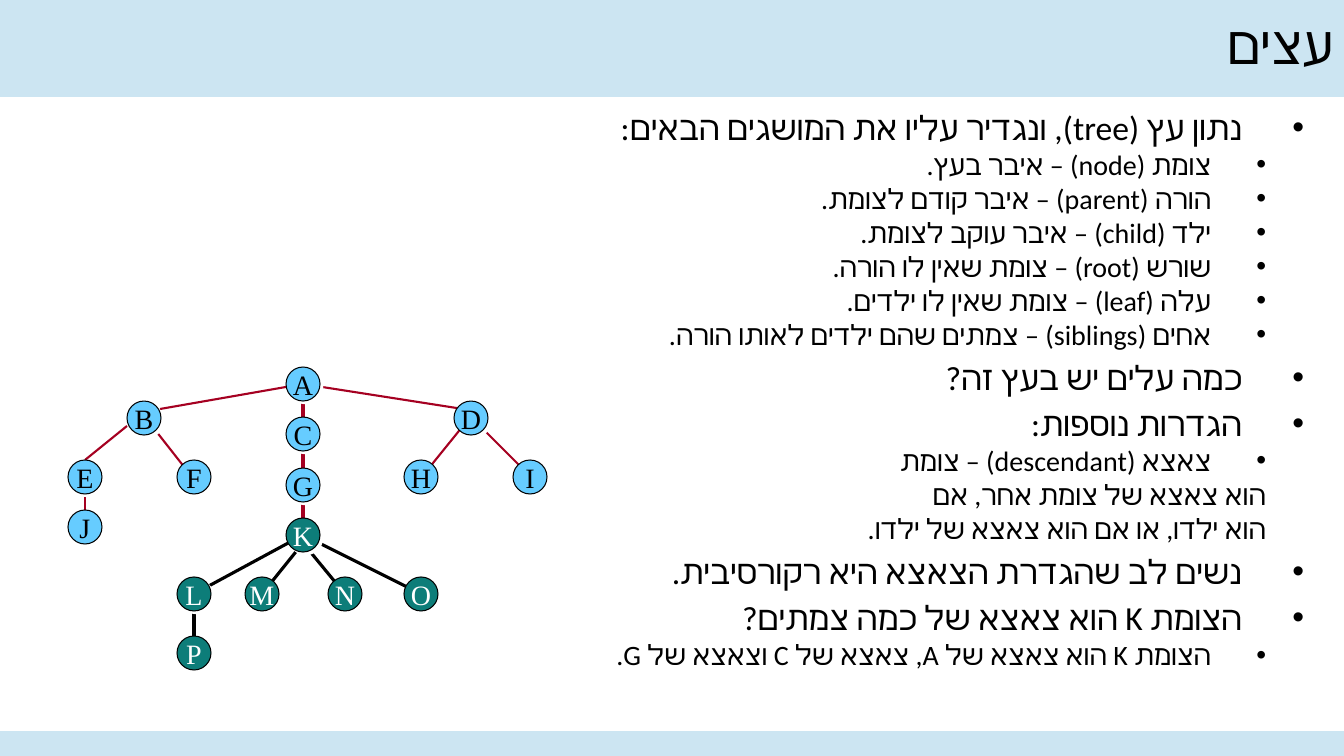
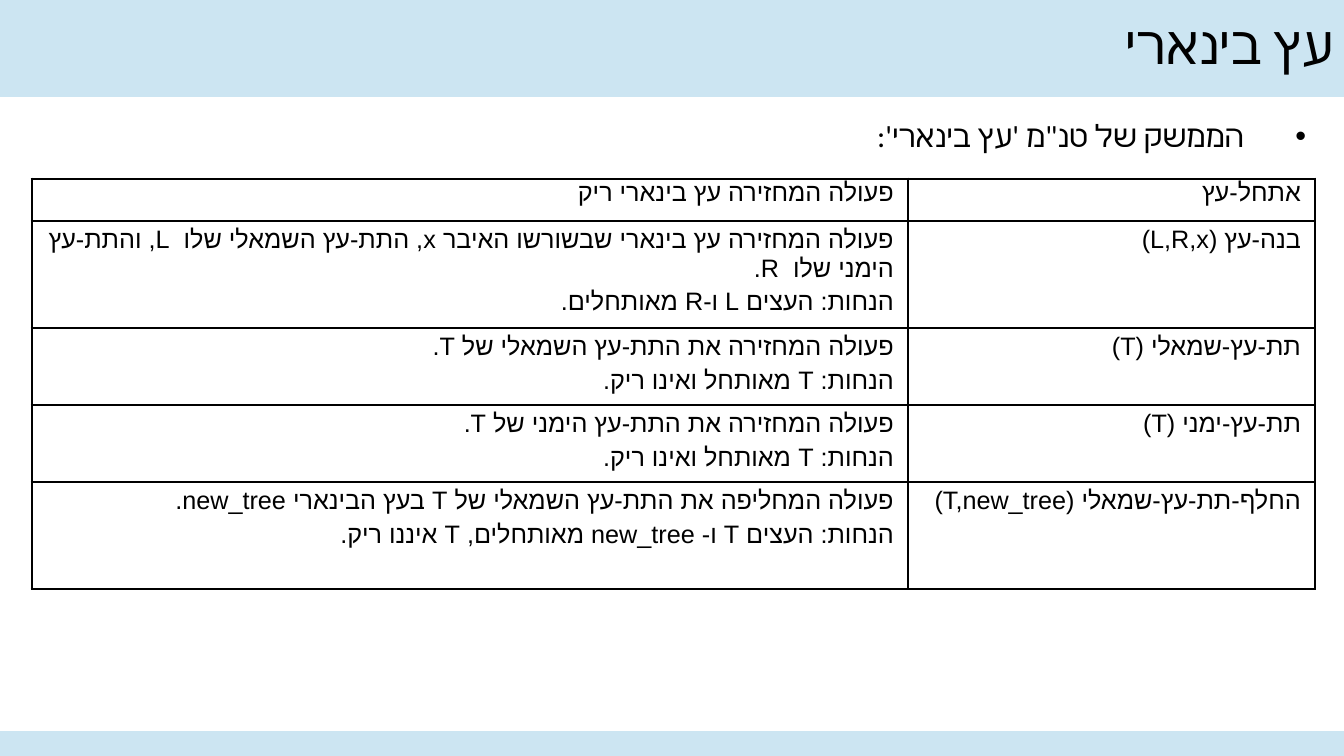
from dataclasses import dataclass

from lxml import etree
from pptx import Presentation
from pptx import util as u
from pptx.dml.color import RGBColor
from pptx.enum import shapes, text
from pptx.oxml import ns

EMU_PER_PX = 914400 / 100.8


@dataclass(frozen=True)
class Theme:
    """Colours, fonts and type sizes shared by the slides."""
    band: str = "CCE5F2"
    ink: str = "000000"
    paper: str = "FFFFFF"
    node: str = "66CCFF"
    subtree: str = "0D7D79"
    edge: str = "A50021"
    body_font: str = "Calibri"
    table_font: str = "Arial"
    node_font: str = "Times New Roman"
    title_size: int = 38
    lead_size: int = 24
    note_size: int = 20
    intro_size: int = 22
    table_size: int = 18
    thin: float = 1.5
    thick: float = 2.25


T = Theme()

OUTLINE = [
    (0, "נתון עץ (tree), ונגדיר עליו את המושגים הבאים:"),
    (1, "צומת (node) – איבר בעץ."),
    (1, "הורה (parent) – איבר קודם לצומת."),
    (1, "ילד (child) – איבר עוקב לצומת."),
    (1, "שורש (root) – צומת שאין לו הורה."),
    (1, "עלה (leaf) – צומת שאין לו ילדים."),
    (1, "אחים (siblings) – צמתים שהם ילדים לאותו הורה."),
    (0, "כמה עלים יש בעץ זה?"),
    (0, "הגדרות נוספות:"),
    (1, "צאצא (descendant) – צומת"),
    (2, "הוא צאצא של צומת אחר, אם"),
    (2, "הוא ילדו, או אם הוא צאצא של ילדו."),
    (0, "נשים לב שהגדרת הצאצא היא רקורסיבית."),
    (0, "הצומת K הוא צאצא של כמה צמתים?"),
    (1, "הצומת K הוא צאצא של A, צאצא של C וצאצא של G."),
]

LEVELS = [
    dict(size=T.lead_size, before=10, margin=62, indent=-62, bullet=True),
    dict(size=T.note_size, before=5, margin=93, indent=-55, bullet=True, level=1),
    dict(size=T.note_size, before=5, margin=38, level=1),
]

NODES = {
    "A": (235, 17), "B": (76, 51), "D": (403, 51), "C": (235, 67),
    "G": (235, 118), "E": (17, 110), "F": (126, 110), "H": (353, 110),
    "I": (462, 110), "J": (17, 160), "K": (235, 168), "L": (126, 227),
    "M": (194, 227), "N": (277, 227), "O": (353, 227), "P": (126, 286),
}

EDGES = [
    ("A", "B", (0, 0), (16, -9)), ("A", "D", (0, 0), (-8, -9)),
    ("B", "E", (-17, 8), (0, -17)), ("B", "F", (8, 8), (-9, -9)),
    ("E", "J", (0, 16), (0, -9)), ("A", "K", (0, 8), (0, 0)),
    ("K", "L", (0, 0), (0, 0)), ("K", "O", (0, 0), (0, 0)),
    ("K", "M", (0, 8), (0, 0)), ("K", "N", (0, 8), (0, 0)),
    ("L", "P", (0, 0), (0, -9)), ("D", "H", (-8, 8), (8, -9)),
    ("D", "I", (9, 8), (-8, -9)),
]

OPERATIONS = [
    (["פעולה המחזירה עץ בינארי ריק"], "אתחל-עץ"),
    (["פעולה המחזירה עץ בינארי שבשורשו האיבר x, התת-עץ השמאלי שלו  L, והתת-עץ הימני שלו  R.",
      "הנחות: העצים L ו-R מאותחלים."], "בנה-עץ (L,R,x)"),
    (["פעולה המחזירה את התת-עץ השמאלי של T.",
      "הנחות: T מאותחל ואינו ריק."], "תת-עץ-שמאלי (T)"),
    (["פעולה המחזירה את התת-עץ הימני של T.",
      "הנחות: T מאותחל ואינו ריק."], "תת-עץ-ימני (T)"),
    (["פעולה המחליפה את התת-עץ השמאלי של T בעץ הבינארי new_tree.",
      "הנחות: העצים T ו- new_tree מאותחלים, T איננו ריק."],
     "החלף-תת-עץ-שמאלי (T,new_tree)"),
]


def px(*values):
    """Turn pixels into EMU, as one length or a list."""
    lengths = [u.Emu(round(v * EMU_PER_PX)) for v in values]
    return lengths[0] if len(lengths) == 1 else lengths


def rgb(color):
    """Return a colour object for a hex string."""
    return RGBColor.from_string(color)


def add(parent, tag, **attrs):
    """Append a DrawingML child element."""
    return etree.SubElement(parent, ns.qn(tag), {k: str(v) for k, v in attrs.items()})


def write(tf, words, size, font=T.body_font, color=T.ink, align=text.PP_ALIGN.RIGHT,
          rtl=True, spacing=None, before=0, margin=0, indent=0, bullet=False, level=0):
    """Add one formatted paragraph to a text frame."""
    p = tf.add_paragraph() if tf.text else tf.paragraphs[0]
    p.alignment, p.level = align, level
    p.space_before = u.Pt(before)
    if spacing:
        p.line_spacing = spacing
    pPr = p._p.get_or_add_pPr()
    if rtl:
        pPr.set("rtl", "1")
    pPr.set("marL", str(px(margin)))
    pPr.set("indent", str(px(indent)))
    if bullet:
        add(pPr, "a:buFont", typeface="Arial")
        add(pPr, "a:buChar", char="•")
    r = p.add_run()
    r.text = words
    r.font.size, r.font.name = u.Pt(size), font
    r.font.color.rgb = rgb(color)
    add(r.font._element, "a:cs", typeface=font)


def filled(parent, kind, box, fill, line, width):
    """Add a preset shape with its fill and outline."""
    sp = parent.add_shape(kind, *px(*box))
    sp.shadow.inherit = False
    sp.fill.solid()
    sp.fill.fore_color.rgb = rgb(fill)
    sp.line.color.rgb = rgb(line)
    sp.line.width = u.Pt(width)
    return sp


def bands(s):
    """Put the top and bottom bands on the layout of a slide."""
    for box in ((0, 0, 1344, 96), (0, 732, 1344, 24)):
        sp = filled(s.shapes, shapes.MSO_SHAPE.RECTANGLE, box, T.band, T.band, 1)
        s.slide_layout.shapes.element.insert(2, sp._element)


def titled_slide(prs, title):
    """Add a slide with its title in the top band."""
    s = prs.slides.add_slide(prs.slide_layouts[5])
    sp = s.shapes.title
    sp.left, sp.top, sp.width, sp.height = px(114, -1, 1230, 96)
    tf = sp.text_frame
    tf.word_wrap, tf.auto_size = True, text.MSO_AUTO_SIZE.NONE
    tf.vertical_anchor = text.MSO_ANCHOR.MIDDLE
    write(tf, title, T.title_size, spacing=0.9)
    return s


def body(s, box):
    """Add a wrapping text box and return its text frame."""
    tf = s.shapes.add_textbox(*px(*box)).text_frame
    tf.word_wrap = True
    return tf


def edge(parent, start, end, color, width):
    """Draw one straight tree edge."""
    line = parent.add_connector(shapes.MSO_CONNECTOR.STRAIGHT, *px(*start, *end))
    line.line.color.rgb = rgb(color)
    line.line.width = u.Pt(width)
    add(line._element.spPr, "a:effectLst")


def node(parent, name, center, dark):
    """Draw one lettered tree node with a white offset shadow."""
    cx, cy = center
    sp = filled(parent, shapes.MSO_SHAPE.OVAL, (cx - 17, cy - 17, 34, 34),
                T.subtree if dark else T.node, T.ink, 0.75)
    effects = sp._element.spPr.find(ns.qn("a:effectLst"))
    shadow = add(effects, "a:outerShdw", dist=u.Pt(2.8), dir=2700000,
                 algn="ctr", rotWithShape=0)
    add(shadow, "a:srgbClr", val=T.paper)
    tf = sp.text_frame
    tf.word_wrap = False
    tf.vertical_anchor = text.MSO_ANCHOR.MIDDLE
    write(tf, name, T.note_size, font=T.node_font, rtl=False,
          color=T.paper if dark else T.ink, align=text.PP_ALIGN.CENTER)


def tree(s, left, top):
    """Draw the grouped tree from its upper left corner."""
    group = s.shapes.add_group_shape().shapes
    centers = {name: (left + x, top + y) for name, (x, y) in NODES.items()}
    for parent, child, shift, reach in EDGES:
        start, end = ([c + d for c, d in zip(centers[name], delta)]
                      for name, delta in ((parent, shift), (child, reach)))
        dark = parent in "KL"
        edge(group, start, end, T.ink if dark else T.edge,
             T.thick if dark or child == "K" else T.thin)
    for name, center in centers.items():
        node(group, name, center, name in "KLMNOP")


def borders(cell, outer):
    """Draw the four borders of a cell, thicker on outer sides."""
    tcPr = cell._tc.get_or_add_tcPr()
    for side in "LRTB":
        width = T.thick if side in outer else 1
        ln = add(tcPr, "a:ln" + side, w=u.Pt(width))
        add(add(ln, "a:solidFill"), "a:srgbClr", val=T.ink)


def operations_table(s, box, widths, heights):
    """Add the table of tree operations inside a box."""
    table = s.shapes.add_table(len(heights), len(widths), *px(*box)).table
    table.first_row = table.horz_banding = False
    for column, width in zip(table.columns, widths):
        column.width = px(width)
    for i, (row, height) in enumerate(zip(table.rows, heights)):
        row.height = px(height)
        details, name = OPERATIONS[i]
        for j, lines in enumerate((details, [name])):
            cell = row.cells[j]
            outer = "LR"[j] + ("T" if i == 0 else "")
            borders(cell, outer + ("B" if i == len(heights) - 1 else ""))
            cell.fill.solid()
            cell.fill.fore_color.rgb = rgb(T.paper)
            cell.margin_left = cell.margin_right = px(14)
            cell.margin_top, cell.margin_bottom = px(5 if i else 0, 5)
            for line in lines:
                write(cell.text_frame, line, T.table_size, font=T.table_font, before=3.6)


def trees_slide(prs):
    """Build the slide of tree terms with its example tree."""
    s = titled_slide(prs, "עצים")
    tf = body(s, (31, 110, 1283, 606))
    for level, words in OUTLINE:
        write(tf, words, spacing=0.8, **LEVELS[level])
    tree(s, 68, 367)
    return s


def binary_tree_slide(prs):
    """Build the slide of binary tree operations."""
    s = titled_slide(prs, "עץ בינארי")
    operations_table(s, (32, 179, 1283, 410), (876, 407), (42, 107, 77, 77, 107))
    tf = body(s, (0, 116, 1316, 559))
    write(tf, "הממשק של טנ\"מ 'עץ בינארי':", spacing=0.9,
          **{**LEVELS[0], "size": T.intro_size})


def main():
    """Build and save the presentation."""
    prs = Presentation()
    prs.slide_width, prs.slide_height = px(1344, 756)
    bands(trees_slide(prs))
    binary_tree_slide(prs)
    prs.save("out.pptx")


if __name__ == "__main__":
    main()
